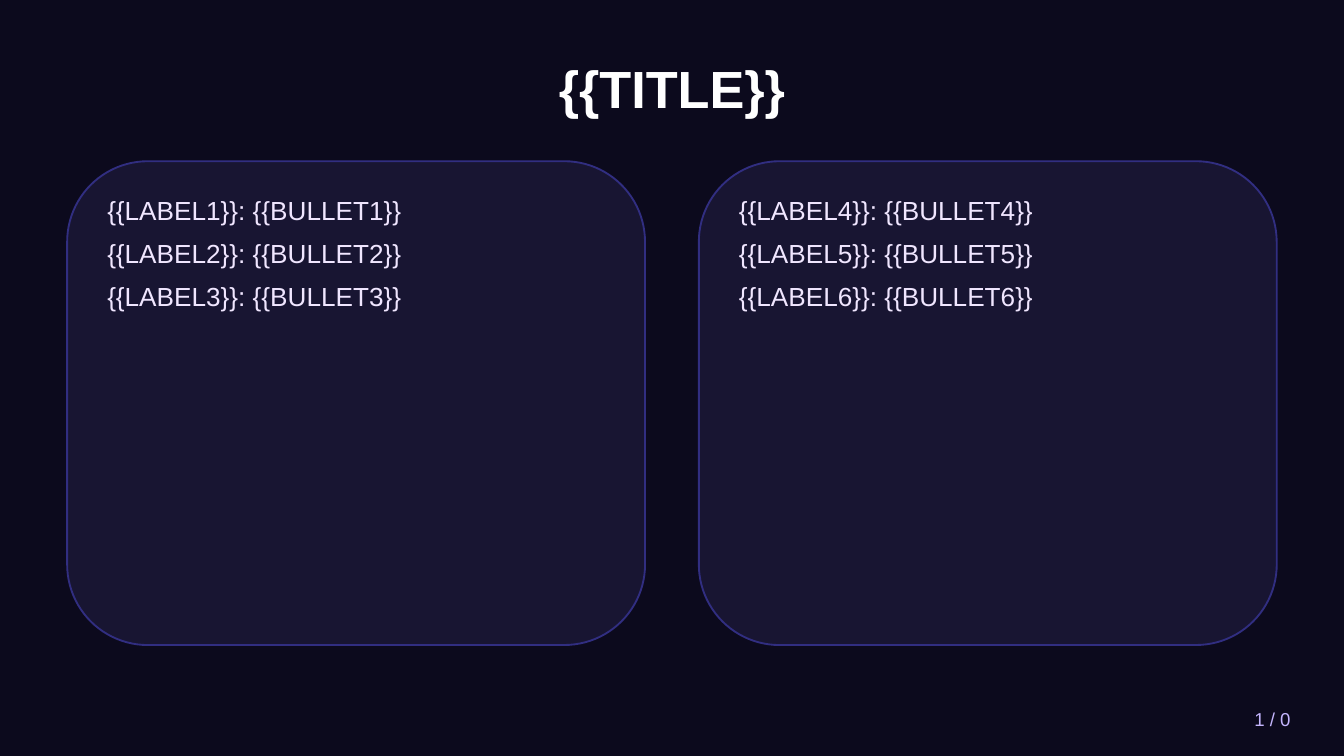
from lxml.etree import SubElement
from pptx import Presentation
from pptx.dml.color import RGBColor
from pptx.enum.shapes import MSO_SHAPE as Preset
from pptx.enum.text import MSO_ANCHOR as Anchor, PP_ALIGN as Align
from pptx.oxml.ns import qn
from pptx.util import Pt


def paint(color_format, hex_color):
    """Give a fill, line or font colour a hex value."""
    color_format.rgb = RGBColor.from_string(hex_color)


def add_text(slide, box, lines, size, hex_color, align=Align.LEFT,
             anchor=Anchor.TOP, bold=False, gap=0):
    """Place lines of text in a box, one paragraph each."""
    frame = slide.shapes.add_textbox(*map(Pt, box)).text_frame
    frame.word_wrap = True
    frame.vertical_anchor = anchor
    for index, line in enumerate(lines):
        paragraph = frame.add_paragraph() if index else frame.paragraphs[0]
        paragraph.alignment = align
        paragraph.space_after = Pt(gap)
        run = paragraph.add_run()
        run.text = line
        run.font.name = "Arial"
        run.font.size = Pt(size)
        run.font.bold = bold
        paint(run.font.color, hex_color)


def add_title(slide, box):
    """Place the centred slide title."""
    add_text(slide, box, ["{{TITLE}}"], 28, "FFFFFF",
             Align.CENTER, Anchor.MIDDLE, bold=True)


def add_card(slide, box, numbers):
    """Draw a rounded card with its labelled bullets inside."""
    card = slide.shapes.add_shape(Preset.ROUNDED_RECTANGLE, *map(Pt, box))
    card.shadow.inherit = False
    card.fill.solid()
    paint(card.fill.fore_color, "1A1735")
    fill_color = card.fill._xPr.find(f"{qn('a:solidFill')}/{qn('a:srgbClr')}")
    SubElement(fill_color, qn("a:alpha"), val="90000")
    paint(card.line.color, "312E81")
    card.line.width = Pt(1)

    left, top, width, height = box
    margin = 14.4
    inner = (left + margin, top + margin,
             width - 2 * margin, height - 2 * margin)
    bullets = [f"{{{{LABEL{n}}}}}: {{{{BULLET{n}}}}}" for n in numbers]
    add_text(slide, inner, bullets, 14, "F0E6FF", gap=6)


def add_page_number(slide, box):
    """Place the page number at the right of its box."""
    add_text(slide, box, ["1 / 0"], 10, "C4B5FD", Align.RIGHT, Anchor.MIDDLE)


def main():
    """Build the two-card slide and save it."""
    deck = Presentation()
    deck.slide_width, deck.slide_height = Pt(720), Pt(405)
    slide = deck.slides.add_slide(deck.slide_layouts[6])
    slide.background.fill.solid()
    paint(slide.background.fill.fore_color, "0C0A1D")

    add_title(slide, (36, 21.6, 648, 50.4))
    card_width, card_gap, per_card = 309.6, 28.8, 3
    for column in range(2):
        left = 36 + column * (card_width + card_gap)
        first = column * per_card + 1
        add_card(slide, (left, 86.4, card_width, 259.2),
                 range(first, first + per_card))
    add_page_number(slide, (612, 374.4, 86.4, 21.6))
    deck.save("out.pptx")


if __name__ == "__main__":
    main()
